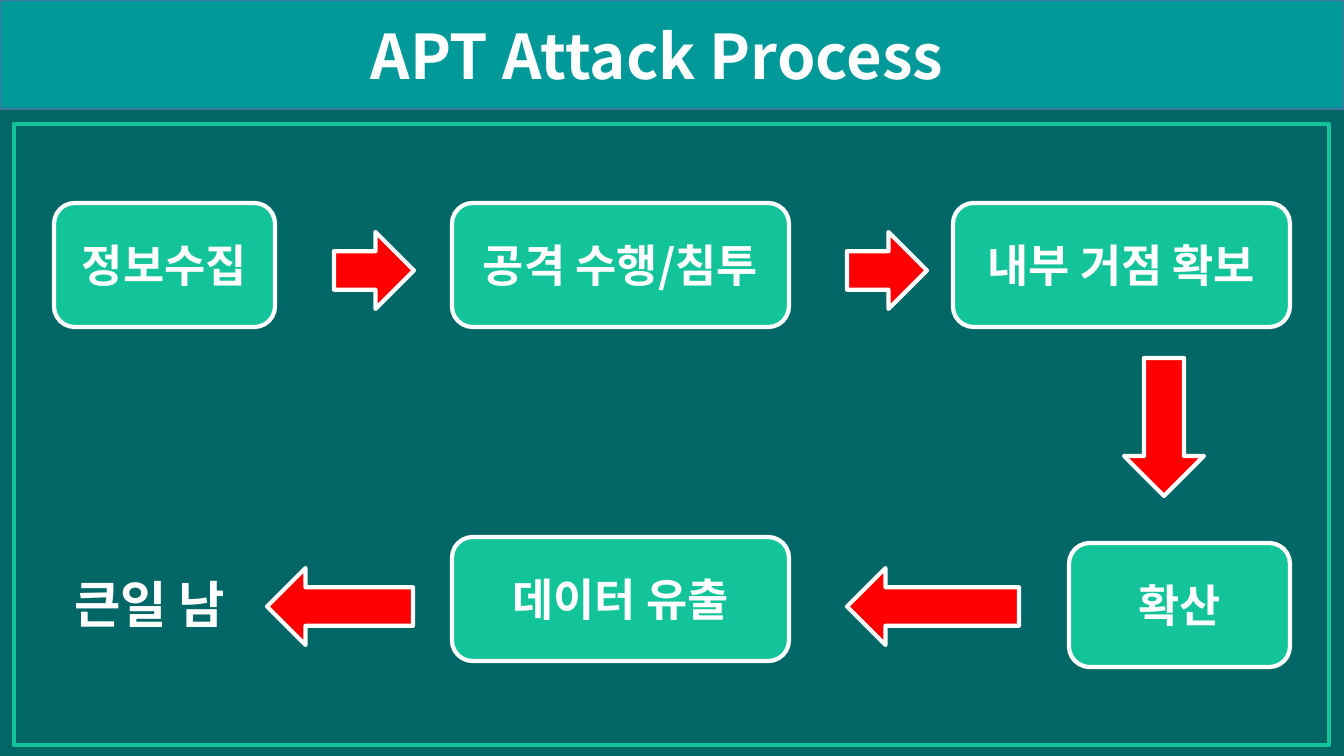
from pptx import Presentation
from pptx.dml.color import RGBColor
from pptx.enum.shapes import MSO_SHAPE
from pptx.enum.text import MSO_ANCHOR, MSO_AUTO_SIZE, PP_ALIGN
from pptx.oxml.ns import qn
from pptx.util import Emu, Pt

ROUNDED = MSO_SHAPE.ROUNDED_RECTANGLE
RECTANGLE = MSO_SHAPE.RECTANGLE
ARROW = MSO_SHAPE.RIGHT_ARROW
MIDDLE = MSO_ANCHOR.MIDDLE
TOP = MSO_ANCHOR.TOP
CENTER = PP_ALIGN.CENTER
NO_AUTOFIT = MSO_AUTO_SIZE.NONE

TITLE_ONLY = 5
FONT = "Noto Sans CJK KR"
WHITE = "FFFFFF"
DARK_TEAL = "006666"
TEAL = "009999"
GREEN = "13C399"
RED = "FF0000"
BAND_EDGE = "43739E"

SLIDE_WIDTH, SLIDE_HEIGHT = 1344, 756
BAND_HEIGHT = 109
STEP_HEIGHT = 124
ARROW_HEIGHT = 77
NARROW, WIDE = 221, 337
LEFT_COLUMN, MIDDLE_COLUMN, RIGHT_EDGE = 40, 438, 1276
UPPER_ROW, LOWER_ROW = 79, 413

STEPS = [
    ("정보수집", LEFT_COLUMN, UPPER_ROW, NARROW),
    ("공격 수행/침투", MIDDLE_COLUMN, UPPER_ROW, WIDE),
    ("내부 거점 확보", RIGHT_EDGE - WIDE, UPPER_ROW, WIDE),
    ("확산", RIGHT_EDGE - NARROW, LOWER_ROW + 6, NARROW),
    ("데이터 유출", MIDDLE_COLUMN, LOWER_ROW, WIDE),
]
ARROWS = [
    (320, 108, 80, ARROW_HEIGHT, 0),
    (833, 108, 80, ARROW_HEIGHT, 0),
    (833, 444, 172, ARROW_HEIGHT, 180),
    (1081, 263, 138, 80, 90),
    (253, 444, 146, ARROW_HEIGHT, 180),
]


def px(length):
    """Turn whole pixels into EMU."""
    return Emu(round(length * 914400 / 100.8))


def color(hex_value):
    """Turn a hex string into a colour."""
    return RGBColor.from_string(hex_value)


def paint(shape, fill, line, width):
    """Give a shape its fill and outline."""
    shape.fill.solid()
    shape.fill.fore_color.rgb = color(fill)
    shape.line.color.rgb = color(line)
    shape.line.width = Pt(width)


def write(shape, text, size, anchor=MIDDLE):
    """Set one line of bold white centred text."""
    frame = shape.text_frame
    frame.text = text
    frame.word_wrap = True
    frame.auto_size = NO_AUTOFIT
    frame.vertical_anchor = anchor
    paragraph = frame.paragraphs[0]
    paragraph.alignment = CENTER
    font = paragraph.runs[0].font
    font.size = Pt(size)
    font.bold = True
    font.color.rgb = color(WHITE)
    font.name = FONT
    properties = paragraph.runs[0]._r.get_or_add_rPr()
    east_asian = properties.makeelement(qn("a:ea"), {"typeface": FONT})
    properties.find(qn("a:latin")).addnext(east_asian)


def add_block(slide, kind, box, fill, line):
    """Add a filled shape with a 3 pt outline and no shadow."""
    shape = slide.shapes.add_shape(kind, *map(px, box))
    shape.shadow.inherit = False
    paint(shape, fill, line, 3)
    return shape


def add_title_band(slide, left, top, width, height):
    """Turn the title placeholder into the heading band."""
    title = slide.shapes.title
    title.left, title.top = px(left), px(top)
    title.width, title.height = px(width), px(height)
    paint(title, TEAL, BAND_EDGE, 1)
    write(title, "APT Attack Process", 44)
    title.text_frame.margin_right = px(40)


def add_attack_flow(slide, left, top, width, height):
    """Draw the framed attack steps, their arrows and the outcome."""
    add_block(slide, RECTANGLE, (left, top, width, height), DARK_TEAL, GREEN)
    for text, x, y, step_width in STEPS:
        box = (left + x, top + y, step_width, STEP_HEIGHT)
        write(add_block(slide, ROUNDED, box, GREEN, WHITE), text, 32)
    for x, y, arrow_width, arrow_height, rotation in ARROWS:
        box = (left + x, top + y, arrow_width, arrow_height)
        add_block(slide, ARROW, box, RED, WHITE).rotation = rotation
    outcome = slide.shapes.add_textbox(px(left + 29), px(top + 444), px(213), px(72))
    write(outcome, "큰일 남", 36, TOP)


def main():
    """Build and save the slide."""
    presentation = Presentation()
    presentation.slide_width = px(SLIDE_WIDTH)
    presentation.slide_height = px(SLIDE_HEIGHT)
    slide = presentation.slides.add_slide(presentation.slide_layouts[TITLE_ONLY])
    slide.background.fill.solid()
    slide.background.fill.fore_color.rgb = color(DARK_TEAL)
    add_title_band(slide, 0, 0, SLIDE_WIDTH, BAND_HEIGHT)
    add_attack_flow(slide, 14, 124, 1315, 621)
    presentation.save("out.pptx")


if __name__ == "__main__":
    main()
